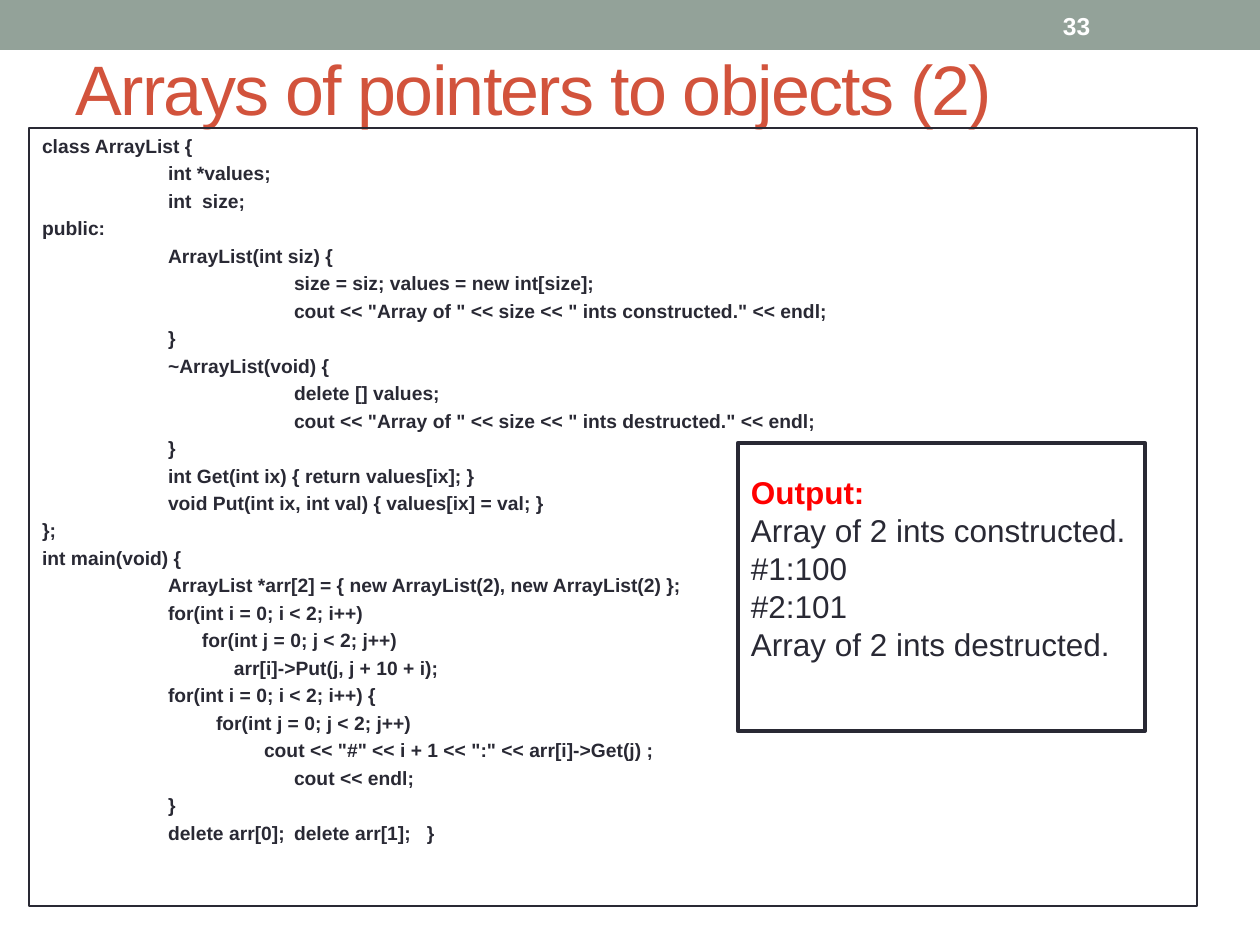
from pptx import Presentation
from pptx.dml.color import RGBColor
from pptx.enum.shapes import MSO_SHAPE
from pptx.enum.text import MSO_ANCHOR, MSO_AUTO_SIZE, PP_ALIGN
from pptx.util import Emu, Pt

RECTANGLE = MSO_SHAPE.RECTANGLE
TOP, MIDDLE = MSO_ANCHOR.TOP, MSO_ANCHOR.MIDDLE
LEFT = PP_ALIGN.LEFT
NO_AUTOFIT = MSO_AUTO_SIZE.NONE

PX = 914400 // 126
FONT = "Arial"
INK, ACCENT, BAND, WHITE, RED = "292934", "D2533C", "93A299", "FFFFFF", "FF0000"
INSET_X, INSET_Y = 13, 6
OUTPUT_LINE = 38

TITLE = "Arrays of pointers to objects (2)"
PAGE_NUMBER = "33"
CODE = [
    (0, "class ArrayList {"),
    (126, "int *values;"),
    (126, "int  size;"),
    (0, "public:"),
    (126, "ArrayList(int siz) {"),
    (252, "size = siz; values = new int[size];"),
    (252, 'cout << "Array of " << size << " ints constructed." << endl;'),
    (126, "}"),
    (126, "~ArrayList(void) {"),
    (252, "delete [] values;"),
    (252, 'cout << "Array of " << size << " ints destructed." << endl;'),
    (126, "}"),
    (126, "int Get(int ix) { return values[ix]; }"),
    (126, "void Put(int ix, int val) { values[ix] = val; }"),
    (0, "};"),
    (0, "int main(void) {"),
    (126, "ArrayList *arr[2] = { new ArrayList(2), new ArrayList(2) };"),
    (126, "for(int i = 0; i < 2; i++)"),
    (160, "for(int j = 0; j < 2; j++)"),
    (192, "arr[i]->Put(j, j + 10 + i);"),
    (126, "for(int i = 0; i < 2; i++) {"),
    (174, "for(int j = 0; j < 2; j++)"),
    (222, 'cout << "#" << i + 1 << ":" << arr[i]->Get(j) ;'),
    (252, "cout << endl;"),
    (126, "}"),
    (126, "delete arr[0];\tdelete arr[1];   }"),
]
OUTPUT_HEADING = "Output:"
OUTPUT = [
    "Array of 2 ints constructed.",
    "#1:100",
    "#2:101",
    "Array of 2 ints destructed.",
]


def px(length):
    return Emu(length * PX)


def rgb(color):
    return RGBColor.from_string(color)


def prepare(frame, anchor=TOP, bottom=INSET_Y):
    frame.word_wrap = True
    frame.auto_size = NO_AUTOFIT
    frame.vertical_anchor = anchor
    frame.margin_left = frame.margin_right = px(INSET_X)
    frame.margin_top, frame.margin_bottom = px(INSET_Y), px(bottom)
    return frame


def write(frame, text, size, color, bold=False, indent=0, before=0,
          line=None, tracking=None):
    paragraph = frame.paragraphs[0]
    if paragraph.runs:
        paragraph = frame.add_paragraph()
    paragraph.alignment = LEFT
    paragraph.space_before = Pt(before)
    if line:
        paragraph.line_spacing = line
    if indent:
        properties = paragraph._p.get_or_add_pPr()
        properties.set("marL", str(px(indent)))
        properties.set("indent", "0")
    run = paragraph.add_run()
    run.text = text
    run.font.name = FONT
    run.font.size = Pt(size)
    run.font.bold = bold
    run.font.color.rgb = rgb(color)
    if tracking:
        run._r.get_or_add_rPr().set("spc", str(tracking))


def add_box(slide, box, fill=None, line=None, width=1):
    shape = slide.shapes.add_shape(RECTANGLE, *map(px, box))
    shape.shadow.inherit = False
    if fill:
        shape.fill.solid()
        shape.fill.fore_color.rgb = rgb(fill)
    else:
        shape.fill.background()
    if line:
        shape.line.color.rgb = rgb(line)
        shape.line.width = Pt(width)
    else:
        shape.line.fill.background()
    return shape


def main():
    deck = Presentation()
    deck.slide_width, deck.slide_height = px(1260), px(945)
    slide = deck.slides.add_slide(deck.slide_layouts[5])

    add_box(slide, (0, 0, 1260, 50), fill=BAND)

    title = slide.shapes.title
    title.left, title.top, title.width, title.height = map(px, (63, 20, 1134, 136))
    write(prepare(title.text_frame, MIDDLE), TITLE, 40, ACCENT, tracking=-100)

    listing = add_box(slide, (29, 128, 1168, 778), line=INK, width=0.75)
    code = prepare(listing.text_frame)
    for indent, text in CODE:
        write(code, text, 11, INK, bold=True, indent=indent, before=2.5)

    number = slide.shapes.add_textbox(*map(px, (1050, 3, 147, 45)))
    write(prepare(number.text_frame, MIDDLE), PAGE_NUMBER, 14, WHITE, bold=True)

    result = add_box(slide, (738, 443, 407, 288), line=INK, width=2.5)
    output = prepare(result.text_frame, MIDDLE, bottom=INSET_Y + OUTPUT_LINE)
    write(output, OUTPUT_HEADING, 18, RED, bold=True)
    for text in OUTPUT:
        write(output, text, 18, INK)

    deck.save("out.pptx")


if __name__ == "__main__":
    main()
